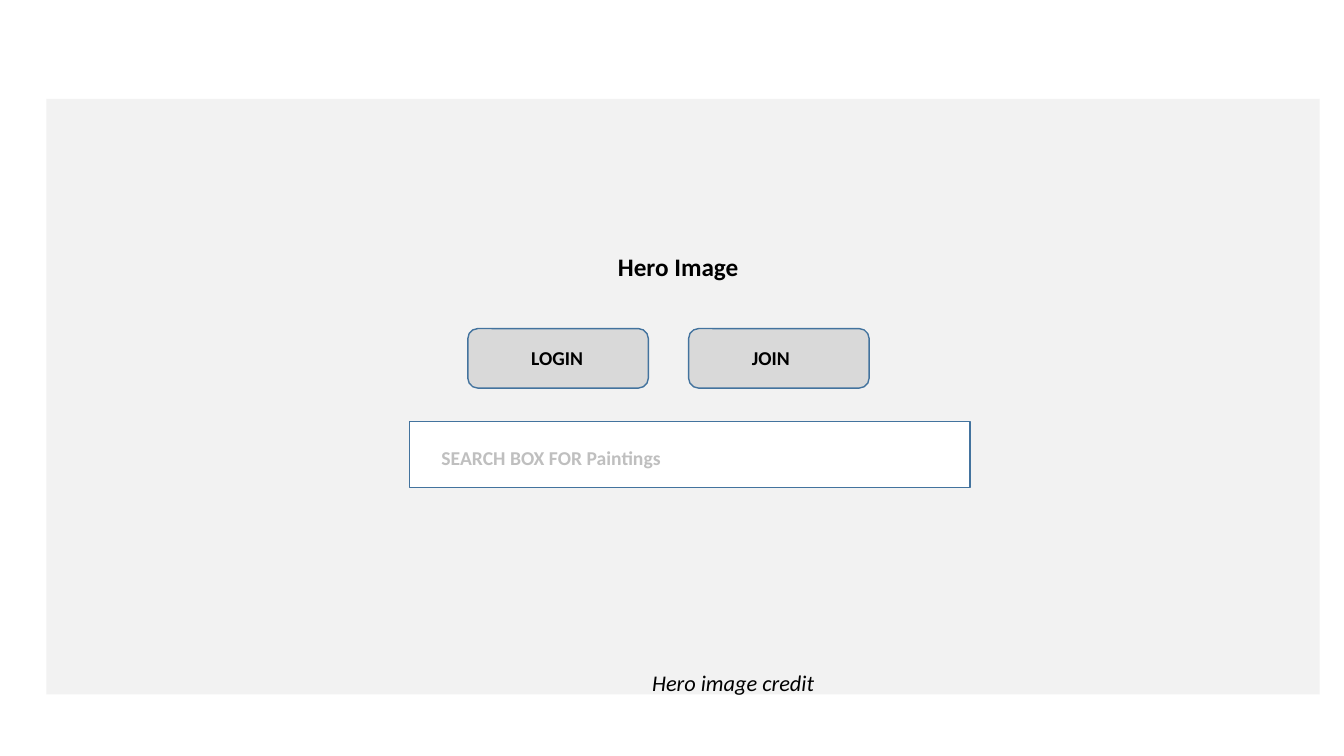
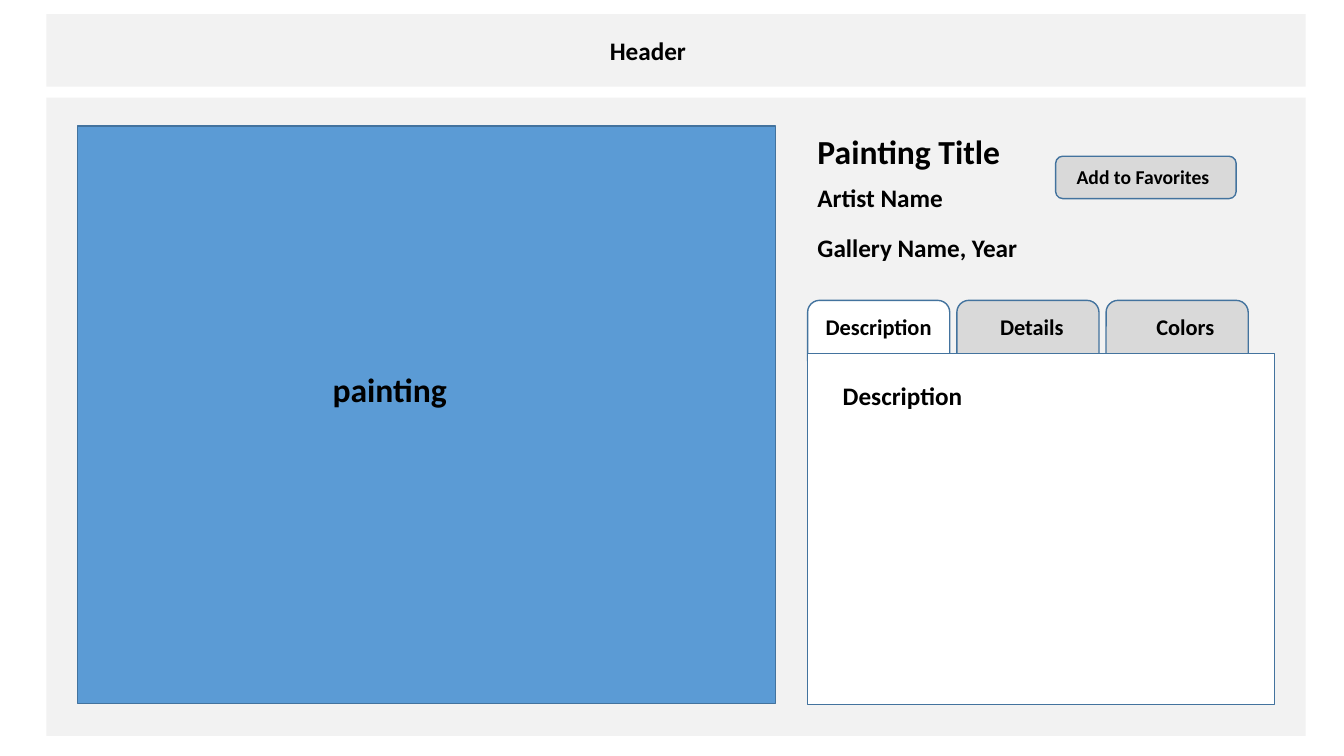
from pptx import Presentation
from pptx.dml.color import RGBColor
from pptx.enum.shapes import MSO_SHAPE as Kind
from pptx.enum.text import MSO_AUTO_SIZE as Fit
from pptx.util import Inches, Pt

FONT = "Calibri"
BLACK, WHITE, PALE, GREY = "000000", "FFFFFF", "F2F2F2", "D9D9D9"
HINT, BLUE, EDGE = "BFBFBF", "5B9BD5", "43739E"
MARGIN = 0.46

# Landing slide: (label, left of text, width of text)
BUTTONS = [("LOGIN", 5.17, 0.72), ("JOIN", 7.36, 0.58)]
BUTTON_LEFT, BUTTON_STEP, BUTTON_WIDE = 4.64, 2.19, 1.79

# Painting slide: (label, left of text, width of text, fill)
TABS = [
    ("Description", 8.09, 1.27, WHITE),
    ("Details", 9.82, 0.84, GREY),
    ("Colors", 11.37, 0.78, GREY),
]
TAB_STEP, TAB_WIDE = 1.48, 1.41
SIDE = 8.01
# (text, top, width, size)
FACTS = [
    ("Painting Title", 1.25, 2.03, 24),
    ("Artist Name", 1.76, 1.46, 18),
    ("Gallery Name, Year", 2.26, 2.2, 18),
]


def color(code):
    """Turn a hex string into a colour."""
    return RGBColor.from_string(code)


def box(slide, left, top, wide, high, fill, edge=None, kind=Kind.RECTANGLE):
    """Draw a filled shape, outlined if an edge colour is given."""
    shape = slide.shapes.add_shape(
        kind, Inches(left), Inches(top), Inches(wide), Inches(high))
    shape.shadow.inherit = False
    shape.fill.solid()
    shape.fill.fore_color.rgb = color(fill)
    if edge:
        shape.line.color.rgb = color(edge)
        shape.line.width = Pt(1)
    else:
        shape.line.fill.background()


def button(slide, left, top, wide, high, fill=GREY):
    """Draw an outlined shape with round corners."""
    box(slide, left, top, wide, high, fill, EDGE, Kind.ROUNDED_RECTANGLE)


def label(slide, text, left, top, wide, size=18, ink=BLACK,
          italic=False, wrap=False):
    """Write one line of text, bold unless italic."""
    high = size / 60 + 0.1
    area = slide.shapes.add_textbox(
        Inches(left), Inches(top), Inches(wide), Inches(high))
    frame = area.text_frame
    frame.word_wrap = wrap
    frame.auto_size = Fit.SHAPE_TO_FIT_TEXT
    frame.text = text
    font = frame.paragraphs[0].runs[0].font
    font.name, font.size = FONT, Pt(size)
    font.bold, font.italic = not italic, italic
    font.color.rgb = color(ink)


def landing(slide):
    """Build the hero area with its buttons and search box."""
    box(slide, MARGIN, 0.98, 12.63, 5.91, PALE)
    label(slide, "Hero Image", 6.03, 2.44, 1.41)
    for i, (text, left, wide) in enumerate(BUTTONS):
        button(slide, BUTTON_LEFT + i * BUTTON_STEP, 3.26, BUTTON_WIDE, 0.59)
        label(slide, text, left, 3.38, wide, 14)
    box(slide, 4.06, 4.18, 5.56, 0.66, WHITE, EDGE)
    label(slide, "SEARCH BOX FOR Paintings", 4.28, 4.37, 2.63, 14, HINT,
          wrap=True)
    label(slide, "Hero image credit", 6.37, 6.59, 1.83, 16, italic=True)


def detail(slide):
    """Build the painting page with its facts and tabs."""
    for top, high in [(0.14, 0.72), (0.97, 6.33)]:
        box(slide, MARGIN, top, 12.49, high, PALE)
    label(slide, "Header", 5.95, 0.3, 1)
    box(slide, 0.77, 1.25, 6.92, 5.73, BLUE, EDGE)
    label(slide, "painting", 3.2, 3.61, 1.35, 24)
    for text, top, wide, size in FACTS:
        label(slide, text, SIDE, top, wide, size)
    button(slide, 10.47, 1.55, BUTTON_WIDE, 0.42)
    label(slide, "Add to Favorites", 10.58, 1.59, 1.53, 14)
    for i, (text, left, wide, fill) in enumerate(TABS):
        button(slide, SIDE + i * TAB_STEP, 2.98, TAB_WIDE, 0.71, fill)
        label(slide, text, left, 3.06, wide, 16)
    box(slide, SIDE, 3.51, 4.63, 3.48, WHITE, EDGE)
    label(slide, "Description", 8.26, 3.72, 1.4)


deck = Presentation()
deck.slide_width, deck.slide_height = Inches(13.33), Inches(7.5)
for build in (landing, detail):
    build(deck.slides.add_slide(deck.slide_layouts[6]))
deck.save("out.pptx")
